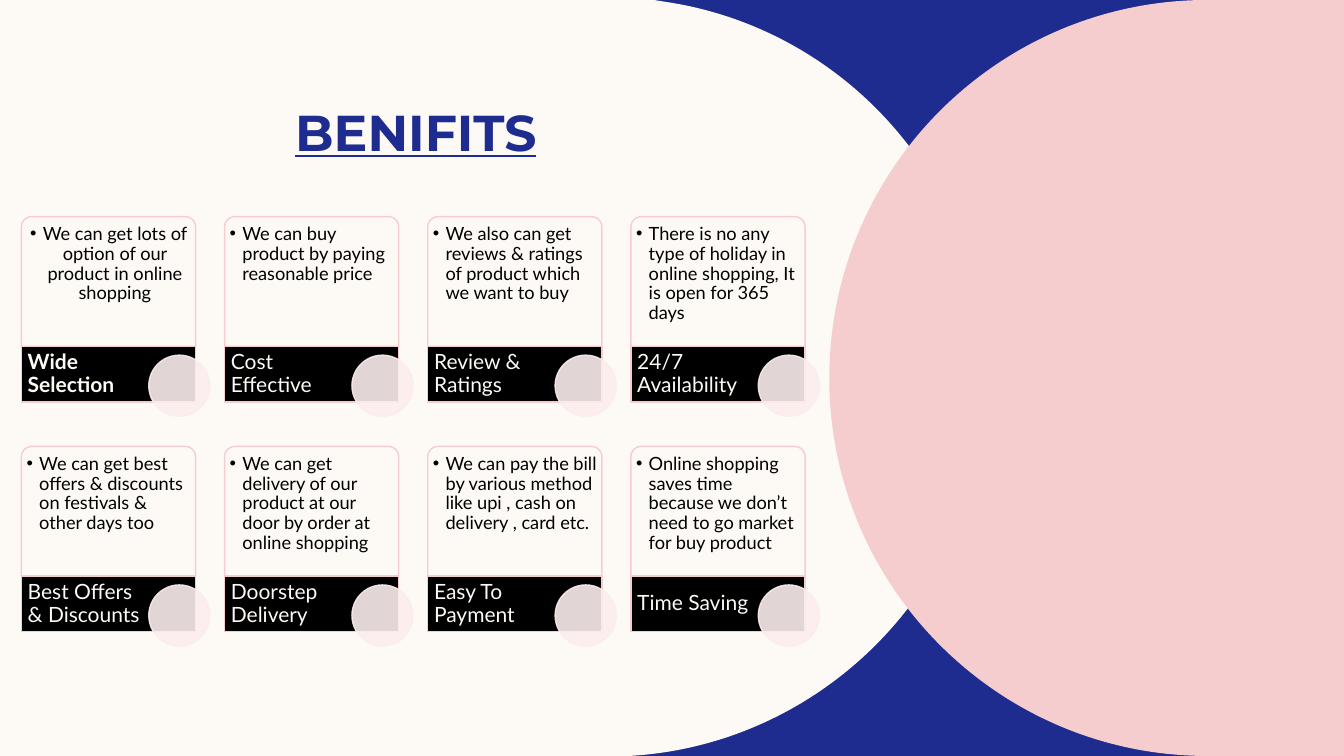
from lxml.etree import SubElement
from pptx import Presentation
from pptx.dml.color import RGBColor
from pptx.enum.shapes import MSO_SHAPE
from pptx.enum.text import MSO_ANCHOR, PP_ALIGN
from pptx.oxml.ns import qn
from pptx.util import Cm, Pt

PAGE_WIDTH, PAGE_HEIGHT = 33.87, 19.05
BLUE, CREAM, PINK, BLUSH, BLACK = "1F2C8F", "FDFAF6", "F5CDCE", "FBEDED", "000000"
COLUMNS, COLUMN_STEP, ROW_STEP = 4, 5.12, 5.79
CARD_WIDTH, BODY_HEIGHT, BAR_HEIGHT = 4.39, 3.27, 1.4

BENEFITS = [
    ("Wide Selection", "We can get lots of option of our product in online shopping"),
    ("Cost Effective", "We can buy product by paying reasonable price"),
    ("Review & Ratings", "We also can get reviews & ratings of product which we want to buy"),
    ("24/7 Availability",
     "There is no any type of holiday in online shopping, It is open for 365 days"),
    ("Best Offers & Discounts",
     "We can get best offers & discounts on festivals & other days too"),
    ("Doorstep Delivery",
     "We can get delivery of our product at our door by order at online shopping"),
    ("Easy To Payment",
     "We can pay the bill by various method like upi , cash on delivery , card etc."),
    ("Time Saving",
     "Online shopping saves time because we don’t need to go market for buy product"),
]


def color(value):
    """Turn a hex string into a colour."""
    return RGBColor.from_string(value)


def paint(shape, fill, line=None, opacity=100, line_opacity=100):
    """Set a shape's fill and outline, with opacity in percent."""
    shape.shadow.inherit = False
    shape.fill.solid()
    shape.fill.fore_color.rgb = color(fill)
    if line:
        shape.line.color.rgb = color(line)
        shape.line.width = Pt(1)
    else:
        shape.line.fill.background()
    properties = shape.fill._xPr
    for parent, percent in ((properties, opacity), (properties.find(qn("a:ln")), line_opacity)):
        if percent < 100:
            tone = parent.find(qn("a:solidFill")).find(qn("a:srgbClr"))
            SubElement(tone, qn("a:alpha")).set("val", str(percent * 1000))


def add_shape(shapes, kind, box, *style):
    """Add a painted preset shape in a box given in centimetres."""
    shape = shapes.add_shape(kind, *map(Cm, box))
    paint(shape, *style)
    return shape


def add_text(shapes, box, text, size, tone, font, insets, anchor, bold=False):
    """Add a one-paragraph text box and return its paragraph and run."""
    frame = shapes.add_textbox(*map(Cm, box)).text_frame
    frame.word_wrap = True
    frame.vertical_anchor = anchor
    frame.margin_left, frame.margin_top, frame.margin_right, frame.margin_bottom = map(Cm, insets)
    para = frame.paragraphs[0]
    span = para.add_run()
    span.text = text
    span.font.size, span.font.name, span.font.bold = Pt(size), font, bold
    span.font.color.rgb = color(tone)
    return para, span


def add_bullet(para, indent):
    """Give a paragraph a round bullet with a hanging indent."""
    properties = para._p.get_or_add_pPr()
    properties.set("marL", str(Cm(indent)))
    properties.set("indent", str(-Cm(indent)))
    SubElement(properties, qn("a:buFont")).set("typeface", "Arial")
    SubElement(properties, qn("a:buChar")).set("char", "•")


def add_curved_panel(page, start, segments, fill):
    """Draw an outline of lines (x, y) and curves (two control points, x, y)."""
    builder = page.shapes.build_freeform(*map(Cm, start))
    builder.add_line_segments([tuple(map(Cm, segment[-2:])) for segment in segments])
    panel = builder.convert_to_shape()
    paint(panel, fill)
    for node, segment in zip(list(panel._element.iter(qn("a:lnTo"))), segments):
        if len(segment) == 6:
            node.tag = qn("a:cubicBezTo")
            for position in (0, 2):
                point = SubElement(node, qn("a:pt"))
                point.set("x", str(Cm(segment[position]) - panel.left))
                point.set("y", str(Cm(segment[position + 1]) - panel.top))
                node.insert(position // 2, point)


def add_background(page, width, height):
    """Draw the blue page with its cream and pink panels."""
    page.background.fill.solid()
    page.background.fill.fore_color.rgb = color(BLUE)
    add_curved_panel(page, (0, 0), [
        (16.48, 0), (16.79, 0.05),
        (21.36, 0.74, 24.87, 4.7, 24.87, 9.5),
        (24.87, 14.6, 20.85, 18.77, 15.85, height),
        (0, height),
    ], CREAM)
    left, center, middle = 20.9, 30.43, height / 2
    add_curved_panel(page, (center, 0), [
        (width, 0), (width, height), (center, height),
        (25.17, height, left, 14.78, left, middle),
        (left, 4.27, 25.17, 0, center, 0),
    ], PINK)


def add_title(page, box):
    """Write the underlined heading."""
    para, span = add_text(page.shapes, box, "BENIFITS", 36, BLUE, "Montserrat",
                          (0.25, 0, 0.25, 0), MSO_ANCHOR.BOTTOM, True)
    para.alignment = PP_ALIGN.CENTER
    span.font.underline = True


def add_card(page, left, top, label, description, leading):
    """Draw one benefit card with its text, black label bar and disc."""
    shapes = page.shapes.add_group_shape().shapes
    body = add_shape(shapes, MSO_SHAPE.ROUND_2_SAME_RECTANGLE,
                     (left, top, CARD_WIDTH, BODY_HEIGHT), CREAM, PINK, 90)
    body.adjustments[0] = 0.08
    para, _ = add_text(shapes, (left + 0.08, top + 0.08, CARD_WIDTH - 0.16, BODY_HEIGHT - 0.08),
                       description, 13, BLACK, "Lato", (0.05, 0.13, 0.05, 0.05), MSO_ANCHOR.TOP)
    para.level = 1
    para.line_spacing = 0.9
    para.alignment = PP_ALIGN.CENTER if leading else PP_ALIGN.LEFT
    add_bullet(para, 0.32)

    bar_top = top + BODY_HEIGHT
    add_shape(shapes, MSO_SHAPE.RECTANGLE, (left, bar_top, CARD_WIDTH, BAR_HEIGHT), BLACK, PINK)
    para, _ = add_text(shapes, (left, bar_top, 3.1, BAR_HEIGHT), label, 15, CREAM, "Lato",
                       (0.16, 0, 0.05, 0), MSO_ANCHOR.MIDDLE, leading)
    para.line_spacing = 0.9
    add_shape(shapes, MSO_SHAPE.OVAL, (left + 3.21, bar_top + 0.22, 1.54, 1.54),
              BLUSH, BLUSH, 90, 90)


def add_cards(page, left, top):
    """Lay out the benefit cards in a grid from its top left corner."""
    for index, (label, description) in enumerate(BENEFITS):
        row, column = divmod(index, COLUMNS)
        add_card(page, left + column * COLUMN_STEP, top + row * ROW_STEP,
                 label, description, index == 0)


def main():
    """Build and save the slide."""
    deck = Presentation()
    deck.slide_width, deck.slide_height = Cm(PAGE_WIDTH), Cm(PAGE_HEIGHT)
    page = deck.slides.add_slide(deck.slide_layouts[6])
    add_background(page, PAGE_WIDTH, PAGE_HEIGHT)
    add_title(page, (2.54, 2.36, 15.88, 1.7))
    add_cards(page, 0.54, 5.46)
    deck.save("out.pptx")


if __name__ == "__main__":
    main()
